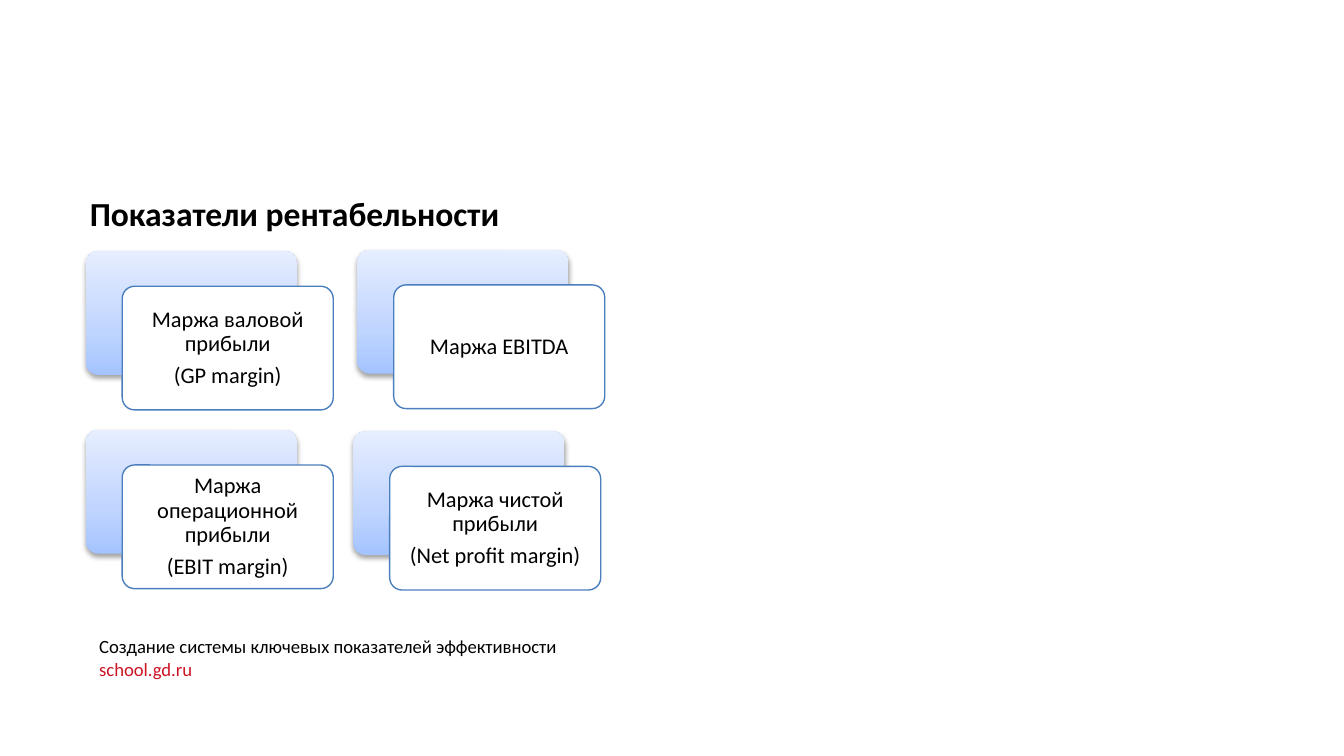
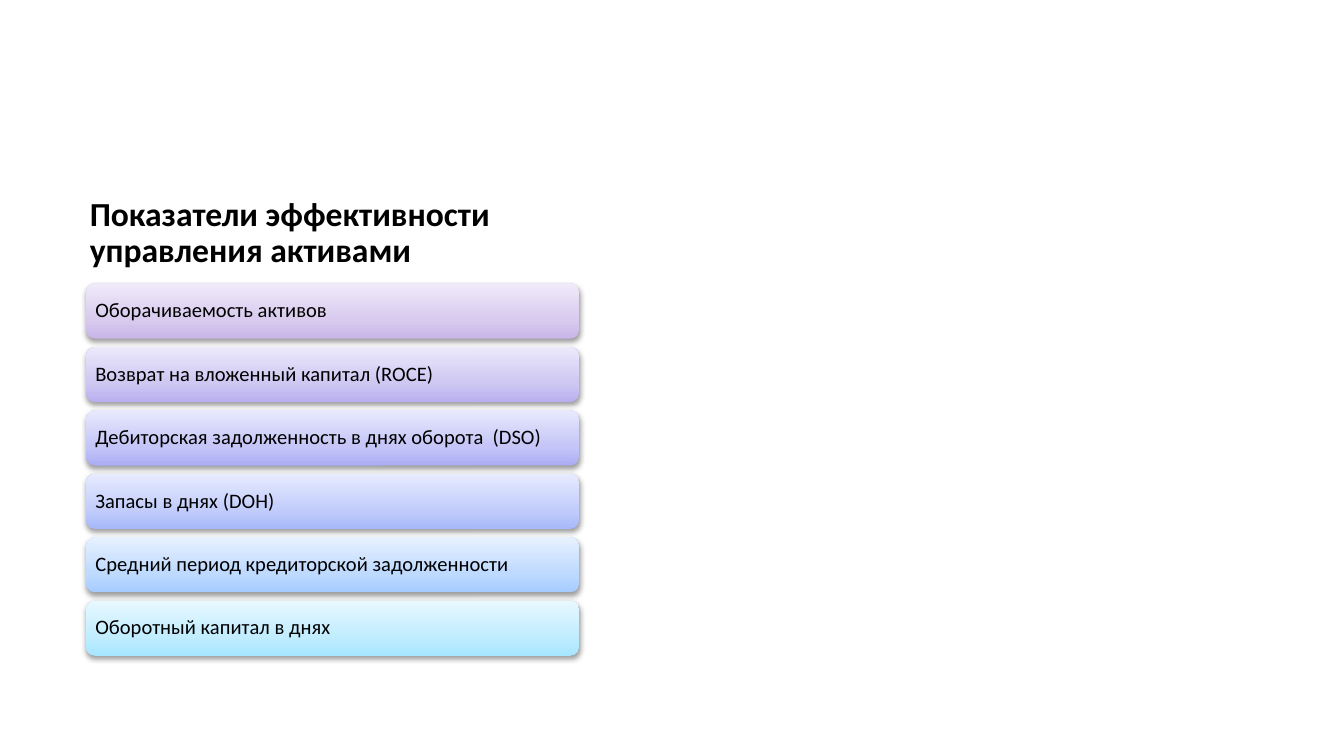
from copy import deepcopy
from dataclasses import dataclass
from typing import Any

from lxml.etree import SubElement as Sub
from pptx import Presentation
from pptx.dml.color import RGBColor as Rgb
from pptx.enum.shapes import MSO_SHAPE as Form
from pptx.enum.text import MSO_ANCHOR as Anchor, MSO_AUTO_SIZE as Fit, PP_ALIGN as Align
from pptx.oxml.ns import qn
from pptx.util import Inches, Pt

BLACK = Rgb(0x00, 0x00, 0x00)
WHITE = Rgb(0xFF, 0xFF, 0xFF)
RED = Rgb(0xCE, 0x13, 0x25)
EDGE = Rgb(0x4B, 0x7E, 0xBC)

Fade = tuple[Rgb, Rgb, Rgb]
SKY: Fade = (Rgb(0xA4, 0xC4, 0xFF), Rgb(0xBF, 0xD4, 0xFF), Rgb(0xE6, 0xEE, 0xFF))
STOPS = (0, 0.35, 1)

FONT = {"name": "Calibri", "color": BLACK, "bold": False}
HEAD = FONT | {"size": Pt(18), "bold": True}
NOTE = FONT | {"size": Pt(10)}
LINK = NOTE | {"color": RED}
CARD = FONT | {"size": Pt(12)}
BAR = FONT | {"size": Pt(11)}

TIGHT = {"line_spacing": 0.9, "alignment": Align.LEFT}
TITLE = TIGHT | {"space_after": Pt(6)}
FOOT = TIGHT | {"line_spacing": 0.91}
MID = TIGHT | {"space_after": Pt(4.2), "alignment": Align.CENTER}
ROW = TIGHT | {"space_after": Pt(3.85)}

LEFT = 0.64
CARD_W, CARD_H = 1.57, 0.92
SHIFT_X, SHIFT_Y = 0.27, 0.26
BAR_W, BAR_H = 3.67, 0.41
BAR_TOP, BAR_END = 2.11, 4.47


@dataclass
class Card:
    left: float
    top: float
    lines: tuple[str, ...]


@dataclass
class Bar:
    text: str
    fade: Fade


CARDS = (
    Card(LEFT, 1.87, ("Маржа валовой прибыли", "(GP margin)")),
    Card(2.66, 1.86, ("Маржа EBITDA",)),
    Card(LEFT, 3.2, ("Маржа операционной прибыли", "(EBIT margin)")),
    Card(2.63, 3.21, ("Маржа чистой прибыли", "(Net profit margin)")),
)

BARS = (
    Bar("Оборачиваемость активов",
        (Rgb(0xC9, 0xB5, 0xE8), Rgb(0xD8, 0xCB, 0xEE), Rgb(0xF0, 0xEA, 0xF9))),
    Bar("Возврат на вложенный капитал (ROCE)",
        (Rgb(0xBA, 0xB0, 0xEF), Rgb(0xCE, 0xC8, 0xF2), Rgb(0xEC, 0xE9, 0xFB))),
    Bar("Дебиторская задолженность в днях оборота  (DSO)",
        (Rgb(0xAB, 0xAD, 0xF5), Rgb(0xC5, 0xC6, 0xF7), Rgb(0xE8, 0xE8, 0xFD))),
    Bar("Запасы в днях (DOH)",
        (Rgb(0xA7, 0xB9, 0xFB), Rgb(0xC2, 0xCD, 0xFB), Rgb(0xE6, 0xEB, 0xFF))),
    Bar("Средний период кредиторской задолженности",
        (Rgb(0xA5, 0xCC, 0xFF), Rgb(0xBF, 0xDA, 0xFF), Rgb(0xE7, 0xF1, 0xFF))),
    Bar("Оборотный капитал в днях",
        (Rgb(0xA7, 0xE6, 0xFF), Rgb(0xC1, 0xED, 0xFF), Rgb(0xE7, 0xF8, 0xFF))),
)


def apply(part: Any, form: dict[str, Any]) -> None:
    for key, val in form.items():
        if key == "color":
            part.color.rgb = val
        else:
            setattr(part, key, val)


def write(shape: Any, lines: tuple[str, ...], font: dict[str, Any],
          para: dict[str, Any], pad: float | None = None) -> None:
    frame = shape.text_frame
    frame.word_wrap = True
    if pad is not None:
        sides = ("left", "right", "top", "bottom")
        apply(frame, {f"margin_{side}": Inches(pad) for side in sides})
        frame.vertical_anchor = Anchor.MIDDLE
    frame.text = "\n".join(lines)
    for item in frame.paragraphs:
        apply(item, para)
        apply(item.runs[0].font, font)


def add_text(slide: Any, left: float, top: float, width: float, height: float,
             lines: tuple[str, ...], font: dict[str, Any], para: dict[str, Any]) -> Any:
    box = slide.shapes.add_textbox(Inches(left), Inches(top), Inches(width), Inches(height))
    write(box, lines, font, para)
    return box


def add_round(slide: Any, left: float, top: float, width: float, height: float) -> Any:
    shape = slide.shapes.add_shape(
        Form.ROUNDED_RECTANGLE, Inches(left), Inches(top), Inches(width), Inches(height))
    shape.shadow.inherit = False
    return shape


def add_glow(shape: Any, fade: Fade) -> None:
    shape.line.fill.background()
    fill = shape.fill
    fill.gradient()
    fill.gradient_angle = 90
    props = shape.element.spPr
    stops = props.find(".//" + qn("a:gsLst"))
    stops.append(deepcopy(stops[0]))
    for stop, place, tint in zip(fill.gradient_stops, STOPS, fade):
        stop.position = place
        stop.color.rgb = tint
    cast = Sub(props.find(qn("a:effectLst")), qn("a:outerShdw"),
               blurRad=str(Pt(3.1)), dist=str(Pt(1.6)), dir="5400000", rotWithShape="0")
    ink = Sub(cast, qn("a:srgbClr"), val=str(BLACK))
    Sub(ink, qn("a:alpha"), val="38000")


def add_card(slide: Any, card: Card) -> None:
    back = add_round(slide, card.left, card.top, CARD_W, CARD_H)
    add_glow(back, SKY)
    front = add_round(slide, card.left + SHIFT_X, card.top + SHIFT_Y, CARD_W, CARD_H)
    for shape in (back, front):
        shape.adjustments[0] = 0.1
    front.fill.solid()
    front.fill.fore_color.rgb = WHITE
    front.line.color.rgb = EDGE
    front.line.width = Pt(0.75)
    write(front, card.lines, CARD, MID, 0.09)


def add_bar(slide: Any, bar: Bar, top: float) -> None:
    shape = add_round(slide, LEFT, top, BAR_W, BAR_H)
    add_glow(shape, bar.fade)
    write(shape, (bar.text,), BAR, ROW, 0.05)


def add_slide(deck: Any, title: str) -> Any:
    slide = deck.slides.add_slide(deck.slide_layouts[6])
    add_text(slide, 0.57, 1.42, 4.37, 0.46, (title,), HEAD, TITLE)
    return slide


def main() -> None:
    deck = Presentation()
    deck.slide_width, deck.slide_height = Inches(10), Inches(10 * 9 / 16)

    slide = add_slide(deck, "Показатели рентабельности")
    foot = add_text(slide, LEFT, 4.69, 5.5, 0.42,
                    ("Создание системы ключевых показателей эффективности", "school.gd.ru"),
                    NOTE, FOOT)
    foot.text_frame.auto_size = Fit.SHAPE_TO_FIT_TEXT
    last = foot.text_frame.paragraphs[1]
    last.line_spacing = 1.0
    apply(last.runs[0].font, LINK)
    for card in CARDS:
        add_card(slide, card)

    slide = add_slide(deck, "Показатели эффективности управления активами")
    step = (BAR_END - BAR_TOP) / (len(BARS) - 1)
    for rank, bar in enumerate(BARS):
        add_bar(slide, bar, BAR_TOP + rank * step)

    deck.save("out.pptx")


if __name__ == "__main__":
    main()
